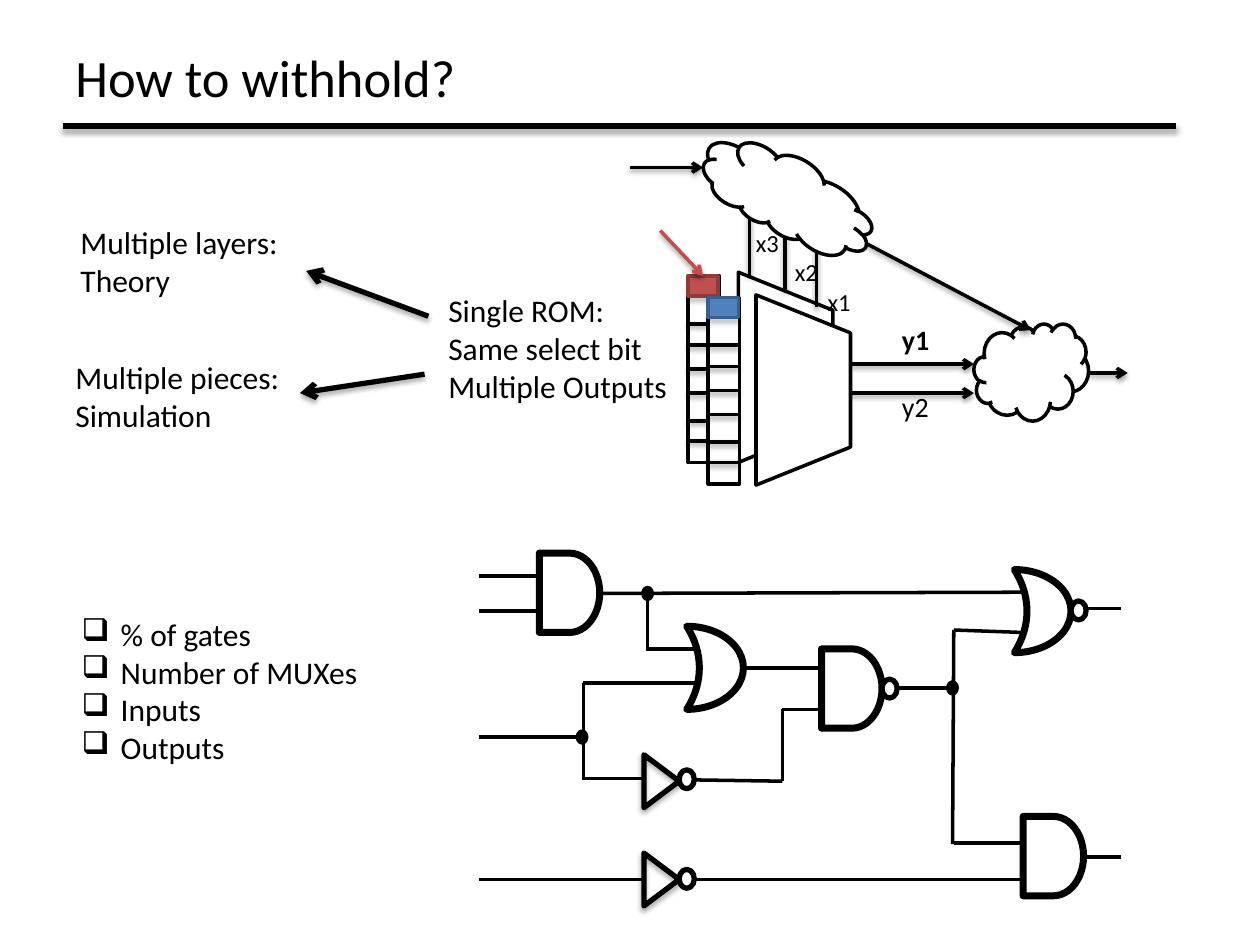
"""Build the "How to withhold?" slide: notes, a multiplexer diagram and a gate circuit."""
from lxml import etree
from pptx import Presentation
from pptx.dml.color import RGBColor
from pptx.enum.shapes import MSO_CONNECTOR, MSO_SHAPE
from pptx.enum.text import MSO_AUTO_SIZE
from pptx.oxml.ns import qn
from pptx.util import Inches, Pt

STRAIGHT = MSO_CONNECTOR.STRAIGHT
RECTANGLE = MSO_SHAPE.RECTANGLE
OVAL = MSO_SHAPE.OVAL
MOON = MSO_SHAPE.MOON
CLOUD = MSO_SHAPE.CLOUD
AND_BODY = MSO_SHAPE.FLOWCHART_DELAY
TRIANGLE = MSO_SHAPE.ISOSCELES_TRIANGLE
TRAPEZOID = MSO_SHAPE.FLOWCHART_MANUAL_OPERATION
GROW = MSO_AUTO_SIZE.SHAPE_TO_FIT_TEXT

BLACK = RGBColor(0x00, 0x00, 0x00)
WHITE = RGBColor(0xFF, 0xFF, 0xFF)
RED = RGBColor(0xC0, 0x50, 0x4D)
DARK_RED = RGBColor(0x8E, 0x3B, 0x39)
BLUE = RGBColor(0x4F, 0x81, 0xBD)
DARK_BLUE = RGBColor(0x3A, 0x5F, 0x8C)
FONT = "Calibri"
STRONG_SHADOW = (35, 1.8)
SOFT_SHADOW = (38, 1.6)

TITLE = ((0.5, 0.31, 3.34, 0.61), ["How to withhold?"])
NOTES = [
    ((3.46, 2.26, 1.96, 1.01), ["Single ROM:", "Same select bit", "Multiple Outputs"]),
    ((0.54, 1.72, 1.79, 0.71), ["Multiple layers:", "Theory"]),
    ((0.5, 2.79, 1.84, 0.71), ["Multiple pieces:", "Simulation"]),
]
METRICS = ((0.55, 4.83, 2.42, 1.31), ["% of gates", "Number of MUXes", "Inputs", "Outputs"])
SELECT_LABELS = ((5.9, 1.76, 0.96, 0.81), ["x3", "x2", "x1"])
OUTPUT_LABELS = ((7.06, 2.51, 0.42, 0.91), ["y1", "y2"])

TITLE_RULE = (0.5, 1, 9.33, 1)
NOTE_ARROWS = [(3.4, 2.51, 2.43, 2.15), (3.37, 2.97, 2.38, 3.12)]

AND_GATES = [(8.12, 6.48), (6.52, 5.15), (4.28, 4.39)]
OR_GATES = [(8.05, 4.52), (5.45, 4.97)]
INVERTERS = [(5.04, 6.06), (5.04, 6.84)]
BUBBLES = [(7, 5.39), (8.5, 4.77), (5.39, 6.11), (5.39, 6.9)]
JUNCTIONS = [(4.59, 5.81), (7.53, 5.42), (5.11, 4.67)]
WIRES = [
    (8.6, 6.8, 8.9, 6.8), (5.51, 6.98, 8.12, 6.98), (4.63, 6.18, 5.11, 6.18),
    (7.11, 5.46, 7.53, 5.46), (8.62, 4.83, 8.9, 4.83), (5.51, 6.19, 6.21, 6.2),
    (4.63, 5.42, 4.63, 6.19), (3.8, 5.85, 4.63, 5.85), (3.8, 4.57, 4.28, 4.57),
    (3.8, 4.85, 4.29, 4.85), (4.77, 4.71, 8.12, 4.7), (7.57, 5, 8.12, 5.02),
    (7.57, 6.69, 8.12, 6.69), (7.57, 5, 7.56, 6.7), (5.9, 5.3, 6.52, 5.3),
    (6.21, 5.63, 6.21, 6.2), (6.21, 5.63, 6.52, 5.63), (4.63, 5.42, 5.54, 5.42),
    (5.14, 4.71, 5.14, 5.15), (5.13, 5.15, 5.51, 5.15), (3.8, 6.98, 5.11, 6.98),
]

BACK_MUX, FRONT_MUX = (5.48, 2.54, 1.51, 0.75), (5.62, 2.72, 1.51, 0.75)
SELECT_LINES = [(5.95, 1.71, 5.95, 2.19), (6.23, 1.86, 6.23, 2.31), (6.48, 1.94, 6.48, 2.44)]
BACK_ROM, FRONT_ROM = (5.46, 2.19), (5.62, 2.36)
ROM_WIDTH, ROM_HEIGHT, CELL_HEIGHT = 0.25, 1.48, 0.16
ROM_DIVIDERS = [0.16, 0.38, 0.55, 0.74, 0.93, 1.15, 1.31]
CLOUDS = [((5.52, 1.25, 1.47, 0.62), 212.1), ((7.73, 2.57, 0.91, 0.77), 0)]
DATA_ARROWS = [
    (5, 1.33, 5.58, 1.33), (6.87, 1.93, 8.18, 2.62), (6.74, 2.89, 7.73, 2.89),
    (8.64, 2.96, 8.95, 2.96), (6.73, 3.12, 7.73, 3.12),
]
ROM_POINTER = (5.24, 1.83, 5.58, 2.19)

deck = Presentation()
deck.slide_width, deck.slide_height = Inches(10), Inches(7.5)
page = deck.slides.add_slide(deck.slide_layouts[6])


def set_shadow(item, shadow):
    effects = etree.SubElement(item._element.spPr, qn("a:effectLst"))
    if shadow:
        opacity, distance = shadow
        outer = etree.SubElement(effects, qn("a:outerShdw"), blurRad=str(Pt(3.1)),
                                 dist=str(Pt(distance)), dir="5400000", rotWithShape="0")
        color = etree.SubElement(outer, qn("a:srgbClr"), val=str(BLACK))
        etree.SubElement(color, qn("a:alpha"), val=str(opacity * 1000))


def add_line(ends, width=2, color=BLACK, shadow=None, arrow=False):
    line = page.shapes.add_connector(STRAIGHT, *map(Inches, ends))
    line.line.color.rgb = color
    line.line.width = Pt(width)
    if arrow:
        etree.SubElement(line.line._get_or_add_ln(), qn("a:tailEnd"), type="arrow")
    set_shadow(line, shadow)
    return line


def add_outline(kind, frame, width=2, fill=WHITE, color=BLACK, rotation=0, shadow=None):
    shape = page.shapes.add_shape(kind, *map(Inches, frame))
    shape.rotation = rotation
    if fill is None:
        shape.fill.background()
    else:
        shape.fill.solid()
        shape.fill.fore_color.rgb = fill
    shape.line.color.rgb = color
    shape.line.width = Pt(width)
    set_shadow(shape, shadow)
    return shape


def add_text(frame, lines, size=18):
    box = page.shapes.add_textbox(*map(Inches, frame))
    box.text_frame.word_wrap = False
    box.text_frame.auto_size = GROW
    box.text_frame.text = "\n".join(lines)
    for para in box.text_frame.paragraphs:
        para.font.size = Pt(size)
        para.font.name = FONT
        para.font.color.rgb = BLACK
    return box.text_frame.paragraphs


def set_indent(para, left, first=0.0):
    properties = para._p.get_or_add_pPr()
    properties.set("marL", str(Inches(left)))
    properties.set("indent", str(Inches(first)))
    return properties


def add_rom(corner, fill, color):
    left, top = corner
    add_outline(RECTANGLE, (left, top, ROM_WIDTH, ROM_HEIGHT))
    for offset in ROM_DIVIDERS:
        add_line((left, top + offset, left + ROM_WIDTH, top + offset), shadow=SOFT_SHADOW)
    return add_outline(RECTANGLE, (left, top, 0.24, CELL_HEIGHT), fill=fill, color=color)


def draw_notes():
    add_text(*TITLE, size=30)
    add_line(TITLE_RULE, 3, shadow=STRONG_SHADOW)
    for frame, lines in NOTES:
        add_text(frame, lines)
    for ends in NOTE_ARROWS:
        add_line(ends, 3, shadow=STRONG_SHADOW, arrow=True)
    for para in add_text(*METRICS):
        bullet = etree.Element(qn("a:buChar"), char="❑")
        set_indent(para, 0.31, -0.31).insert(0, bullet)


def draw_circuit():
    for corner in AND_GATES:
        add_outline(AND_BODY, (*corner, 0.48, 0.63), 4)
    for corner in OR_GATES:
        gate = add_outline(MOON, (*corner, 0.45, 0.66), 4, rotation=180)
        gate.adjustments[0] = 0.777
    for corner in INVERTERS:
        add_outline(TRIANGLE, (*corner, 0.42, 0.28), 3, None, rotation=90, shadow=STRONG_SHADOW)
    for ends in WIRES:
        add_line(ends)
    for corner in BUBBLES:
        add_outline(OVAL, (*corner, 0.12, 0.15), 3)
    for corner in JUNCTIONS:
        add_outline(OVAL, (*corner, 0.06, 0.08), 3, BLACK)


def draw_multiplexer():
    add_outline(TRAPEZOID, BACK_MUX, rotation=270)
    for ends in SELECT_LINES:
        add_line(ends, shadow=SOFT_SHADOW)
    for para, left in zip(add_text(*SELECT_LABELS, size=14), (0, 0.31, 0.57)):
        set_indent(para, left)
    red_cell = add_rom(BACK_ROM, RED, DARK_RED)
    for frame, rotation in CLOUDS:
        add_outline(CLOUD, frame, rotation=rotation)
    for ends in DATA_ARROWS:
        add_line(ends, shadow=SOFT_SHADOW, arrow=True)
    add_outline(TRAPEZOID, FRONT_MUX, rotation=270)
    first, second = add_text(*OUTPUT_LABELS, size=16)
    first.font.bold = True
    second.space_before = Pt(19)
    add_rom(FRONT_ROM, BLUE, DARK_BLUE)
    pointer = add_line(ROM_POINTER, color=RED, shadow=SOFT_SHADOW, arrow=True)
    pointer.end_connect(red_cell, 0)


draw_notes()
draw_circuit()
draw_multiplexer()
deck.save("out.pptx")
